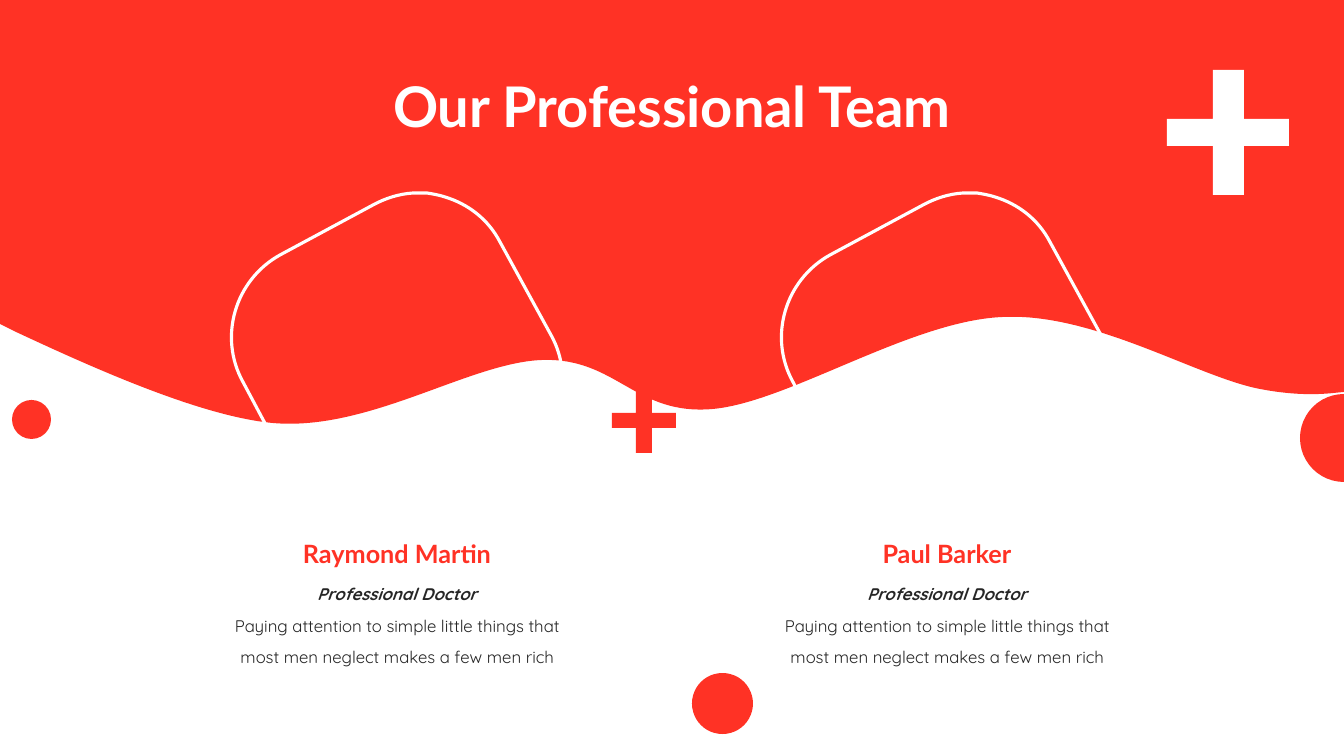
"""Build the "Our Professional Team" slide."""
from lxml import etree
from pptx import Presentation
from pptx.dml.color import RGBColor
from pptx.enum.shapes import MSO_SHAPE
from pptx.enum.text import MSO_ANCHOR, MSO_AUTO_SIZE, PP_ALIGN
from pptx.oxml.ns import qn
from pptx.util import Pt

RED = RGBColor(0xFF, 0x32, 0x25)
WHITE = RGBColor(0xFF, 0xFF, 0xFF)
DARK = RGBColor(0x26, 0x26, 0x26)
OVAL = MSO_SHAPE.OVAL
TOP, MIDDLE = MSO_ANCHOR.TOP, MSO_ANCHOR.MIDDLE
CENTER = PP_ALIGN.CENTER
NO_FIT, GROW = MSO_AUTO_SIZE.NONE, MSO_AUTO_SIZE.SHAPE_TO_FIT_TEXT

SLIDE_WIDTH, SLIDE_HEIGHT = 1344, 756
SCALE = 12192000 / SLIDE_WIDTH
COLUMN_STEP = 550

TITLE = "Our Professional Team"
TITLE_BOX = (233, 36, 878, 146)
ROLE = "Professional Doctor"
BIOGRAPHY = "Paying attention to simple little things that most men neglect makes a few men rich"
MEMBERS = ["Raymond Martin", "Paul Barker"]
NAME_BOX = (279, 533, 236, 40)
BIOGRAPHY_BOX = (204, 601, 387, 72)
ROLE_BOX = (215, 569, 364, 37)

# Each outline step is one point for a line, or three points for a curve.
WAVE_BOX = (0, 0, 1344, 424)
WAVE = [
    [(0, 0)], [(1344, 0)], [(1344, 392)], [(1334, 393)],
    [(1315, 395), (1291, 395), (1260, 389)],
    [(1197, 377), (1095, 313), (1004, 317)],
    [(912, 320), (789, 402), (713, 409)],
    [(635, 416), (617, 358), (543, 360)],
    [(470, 362), (369, 432), (272, 423)],
    [(199, 416), (89, 366), (16, 332)],
    [(0, 324)],
]
FRAME_BOX = (232, 193, 331, 331)
FRAME = [
    [(413, 193)],
    [(417, 193), (422, 193), (427, 193)],
    [(433, 194), (439, 195), (445, 197)],
    [(468, 204), (488, 219), (500, 242)],
    [(551, 335)],
    [(576, 380), (559, 436), (514, 462)],
    [(420, 512)],
    [(375, 537), (319, 520), (293, 476)],
    [(243, 382)],
    [(218, 337), (235, 280), (280, 255)],
    [(373, 205)],
    [(386, 198), (399, 194), (413, 193)],
]
DOTS = [(12, 400, 39), (1300, 394, 88), (692, 673, 61)]
CROSSES = [
    ((612, 636, 652, 676), (388, 413, 428, 453), RED),
    ((1167, 1213, 1244, 1289), (70, 119, 146, 195), WHITE),
]


def emu(*lengths):
    """Turn px lengths into EMU."""
    return [round(length * SCALE) for length in lengths]


def paint(shape, fill=None, line=None):
    """Give a shape its fill or its line, and no shadow."""
    shape.shadow.inherit = False
    if fill is None:
        shape.fill.background()
    else:
        shape.fill.solid()
        shape.fill.fore_color.rgb = fill
    if line is None:
        shape.line.fill.background()
    else:
        shape.line.color.rgb = line
        shape.line.width = Pt(2.25)


def add_polygon(slide, points):
    """Add a closed freeform with straight sides."""
    corners = [emu(*point) for point in points]
    builder = slide.shapes.build_freeform(*corners[0])
    builder.add_line_segments(corners[1:], close=True)
    return builder.convert_to_shape()


def add_curved(slide, box, outline, offset=0):
    """Add a closed freeform whose sides are lines and cubic curves."""
    left, top, width, height = box
    right, bottom = left + width, top + height
    corners = [(left, top), (right, top), (right, bottom), (left, bottom)]
    shape = add_polygon(slide, [(x + offset, y) for x, y in corners])
    track = next(shape.element.iter(qn("a:path")))
    for segment in list(track):
        track.remove(segment)
    for index, step in enumerate(outline):
        tag = "a:moveTo" if index == 0 else "a:lnTo" if len(step) == 1 else "a:cubicBezTo"
        segment = etree.SubElement(track, qn(tag))
        for x, y in step:
            local_x, local_y = emu(x - left, y - top)
            etree.SubElement(segment, qn("a:pt"), x=str(local_x), y=str(local_y))
    etree.SubElement(track, qn("a:close"))
    return shape


def write(shape, text, font_name, size, color, anchor, spacing, fit, italic=False, bold=True):
    """Set and format the centred text of a shape."""
    frame = shape.text_frame
    frame.text = text
    frame.word_wrap = True
    frame.auto_size = fit
    frame.vertical_anchor = anchor
    paragraph = frame.paragraphs[0]
    paragraph.alignment = CENTER
    paragraph.line_spacing = spacing
    font = paragraph.runs[0].font
    font.name, font.size, font.bold, font.italic = font_name, Pt(size), bold, italic
    font.color.rgb = color


def add_member(slide, name, offset):
    """Add one member's frame, name, biography and role."""
    paint(add_curved(slide, FRAME_BOX, FRAME, offset), line=WHITE)
    for (left, top, width, height), text, style in (
        (NAME_BOX, name, ("Lato", 18, RED, MIDDLE, 1.0, GROW)),
        (BIOGRAPHY_BOX, BIOGRAPHY, ("Quicksand", 12, DARK, TOP, 1.5, GROW, False, False)),
        (ROLE_BOX, ROLE, ("Quicksand", 12, DARK, TOP, 1.5, GROW, True)),
    ):
        box = slide.shapes.add_textbox(*emu(left + offset, top, width, height))
        write(box, text, *style)


def main():
    """Build and save the slide."""
    presentation = Presentation()
    presentation.slide_width, presentation.slide_height = emu(SLIDE_WIDTH, SLIDE_HEIGHT)
    slide = presentation.slides.add_slide(presentation.slide_layouts[5])
    paint(add_curved(slide, WAVE_BOX, WAVE), RED)
    for index, name in enumerate(MEMBERS):
        add_member(slide, name, index * COLUMN_STEP)
    for left, top, size in DOTS:
        paint(slide.shapes.add_shape(OVAL, *emu(left, top, size, size)), RED)
    for (x1, x2, x3, x4), (y1, y2, y3, y4), color in CROSSES:
        paint(add_polygon(slide, [
            (x2, y1), (x3, y1), (x3, y2), (x4, y2), (x4, y3), (x3, y3),
            (x3, y4), (x2, y4), (x2, y3), (x1, y3), (x1, y2), (x2, y2),
        ]), color)
    title = slide.shapes.title
    title.left, title.top, title.width, title.height = emu(*TITLE_BOX)
    write(title, TITLE, "Lato", 40, WHITE, MIDDLE, 0.9, NO_FIT)
    title.element.getparent().append(title.element)
    presentation.save("out.pptx")


if __name__ == "__main__":
    main()
